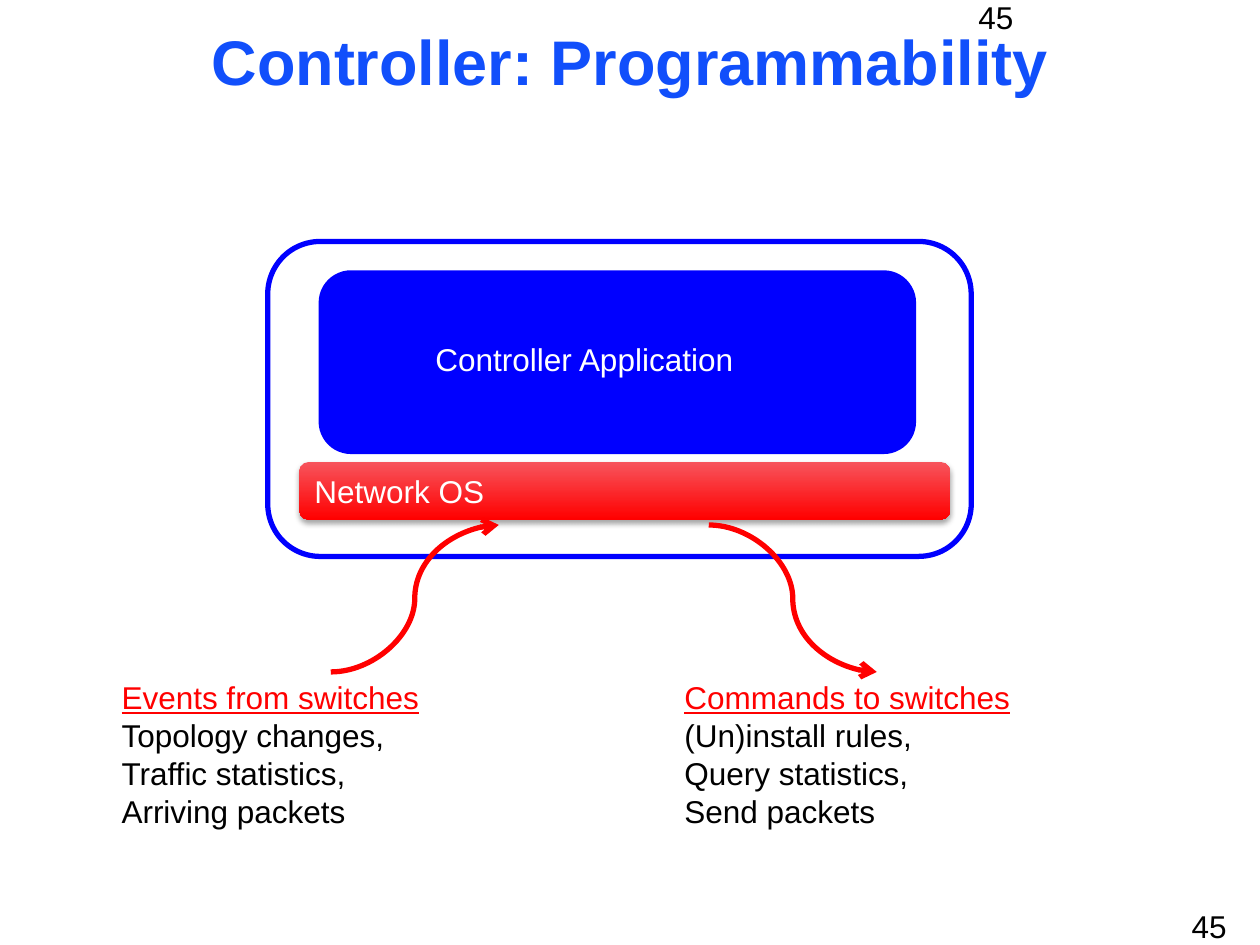
from dataclasses import dataclass
from typing import NamedTuple, Optional

from lxml.etree import SubElement
from pptx import Presentation
from pptx.dml.color import RGBColor
from pptx.enum.shapes import MSO_CONNECTOR, MSO_SHAPE
from pptx.enum.text import MSO_ANCHOR, PP_ALIGN
from pptx.oxml.ns import qn
from pptx.shapes.autoshape import Shape
from pptx.slide import Slide
from pptx.text.text import TextFrame
from pptx.util import Inches, Length, Pt


@dataclass(frozen=True)
class Theme:
    font: str = "Arial"
    title_size: int = 36
    body_size: int = 18
    line_width: int = 3
    title: str = "114FFB"
    blue: str = "0000FF"
    red: str = "FF0000"
    light_red: str = "F7545C"
    black: str = "000000"
    white: str = "FFFFFF"


class Area(NamedTuple):
    column: float
    row: float
    columns: float
    rows: float


class Span(NamedTuple):
    text: str
    color: str
    size: int
    bold: bool = False
    underline: bool = False


class Label(NamedTuple):
    area: Area
    spans: list[Span]
    align: PP_ALIGN = PP_ALIGN.LEFT
    anchor: MSO_ANCHOR = MSO_ANCHOR.TOP
    line_spacing: float = 1.0


class Flow(NamedTuple):
    start: tuple[float, float]
    end: tuple[float, float]
    label: Area
    heading: str
    items: list[str]


THEME = Theme()
CELLS_PER_INCH = 12


def cells(count: float) -> Length:
    """Convert grid cells to a length."""
    return Inches(count / CELLS_PER_INCH)


def body(text: str, color: str, underline: bool = False) -> Span:
    """Describe a line of body text."""
    return Span(text, color, THEME.body_size, underline=underline)


def write(frame: TextFrame, label: Label) -> None:
    """Fill a text frame with one paragraph per span."""
    frame.word_wrap = True
    frame.vertical_anchor = label.anchor
    for index, span in enumerate(label.spans):
        para = frame.add_paragraph() if index else frame.paragraphs[0]
        para.alignment = label.align
        para.line_spacing = label.line_spacing
        run = para.add_run()
        run.text = span.text
        run.font.name = THEME.font
        run.font.size = Pt(span.size)
        run.font.bold = span.bold
        run.font.underline = span.underline
        run.font.color.rgb = RGBColor.from_string(span.color)


def draw_label(page: Slide, label: Label) -> None:
    """Add a text box."""
    box = page.shapes.add_textbox(*map(cells, label.area))
    write(box.text_frame, label)


def draw_rounded(page: Slide, area: Area, fill: Optional[str], line: Optional[str]) -> Shape:
    """Add a rounded rectangle with optional fill and outline."""
    box = page.shapes.add_shape(MSO_SHAPE.ROUNDED_RECTANGLE, *map(cells, area))
    box.shadow.inherit = False
    if fill:
        box.fill.solid()
        box.fill.fore_color.rgb = RGBColor.from_string(fill)
    else:
        box.fill.background()
    if line:
        box.line.color.rgb = RGBColor.from_string(line)
        box.line.width = Pt(THEME.line_width)
    else:
        box.line.fill.background()
    return box


def draw_network_bar(page: Slide, label: Label) -> None:
    """Add the shaded, shadowed bar of the network operating system."""
    bar = draw_rounded(page, label.area, None, None)
    bar.fill.gradient()
    bar.fill.gradient_angle = 270
    for stop, color in zip(bar.fill.gradient_stops, (THEME.light_red, THEME.red)):
        stop.color.rgb = RGBColor.from_string(color)
    effects = bar.element.spPr.find(qn("a:effectLst"))
    shadow = SubElement(effects, qn("a:outerShdw"), blurRad=str(Pt(3.1)), dist=str(Pt(1.8)),
                        dir="5400000", rotWithShape="0")
    color = SubElement(shadow, qn("a:srgbClr"), val=THEME.black)
    SubElement(color, qn("a:alpha"), val="35000")
    write(bar.text_frame, label)


def draw_flow(page: Slide, flow: Flow) -> None:
    """Add a curved arrow and the list that explains it."""
    arrow = page.shapes.add_connector(MSO_CONNECTOR.CURVE, *map(cells, flow.start + flow.end))
    arrow.line.color.rgb = RGBColor.from_string(THEME.red)
    arrow.line.width = Pt(THEME.line_width)
    properties = arrow.element.spPr
    SubElement(properties.find(qn("a:ln")), qn("a:tailEnd"), type="arrow")
    SubElement(properties, qn("a:effectLst"))
    spans = [body(flow.heading, THEME.red, underline=True)]
    spans += [body(item, THEME.black) for item in flow.items]
    draw_label(page, Label(flow.label, spans))


FLOWS = [
    Flow((31.5, 64), (47.5, 50), Area(10.4, 64, 37, 17.4), "Events from switches",
         ["Topology changes,", "Traffic statistics,", "Arriving packets"]),
    Flow((67.5, 50), (83.5, 64), Area(64, 64, 40, 17.4), "Commands to switches",
         ["(Un)install rules,", "Query statistics,", "Send packets"]),
]


def main() -> None:
    """Build and save the slide."""
    deck = Presentation()
    deck.slide_width, deck.slide_height = cells(120), cells(90)
    page = deck.slides.add_slide(deck.slide_layouts[6])
    number = [body("45", THEME.black)]
    title = Span("Controller: Programmability", THEME.title, THEME.title_size, bold=True)
    draw_label(page, Label(Area(109, 85.8, 9, 4.8), number, PP_ALIGN.RIGHT))
    draw_label(page, Label(Area(0, 2, 120, 8), [title], PP_ALIGN.CENTER,
                           MSO_ANCHOR.BOTTOM, 0.9))
    draw_label(page, Label(Area(92, -0.8, 28, 4.8), number))
    draw_network_bar(page, Label(Area(28.5, 44, 62, 5.5), [body("Network OS", THEME.white)],
                                 anchor=MSO_ANCHOR.MIDDLE))
    draw_rounded(page, Area(30.6, 26, 56.4, 17), THEME.blue, THEME.blue)
    draw_label(page, Label(Area(40.3, 31.8, 37.7, 5.3),
                           [body("Controller Application", THEME.white)]))
    draw_rounded(page, Area(25.5, 23, 67, 30), None, THEME.blue)
    for flow in FLOWS:
        draw_flow(page, flow)
    deck.save("out.pptx")


if __name__ == "__main__":
    main()
